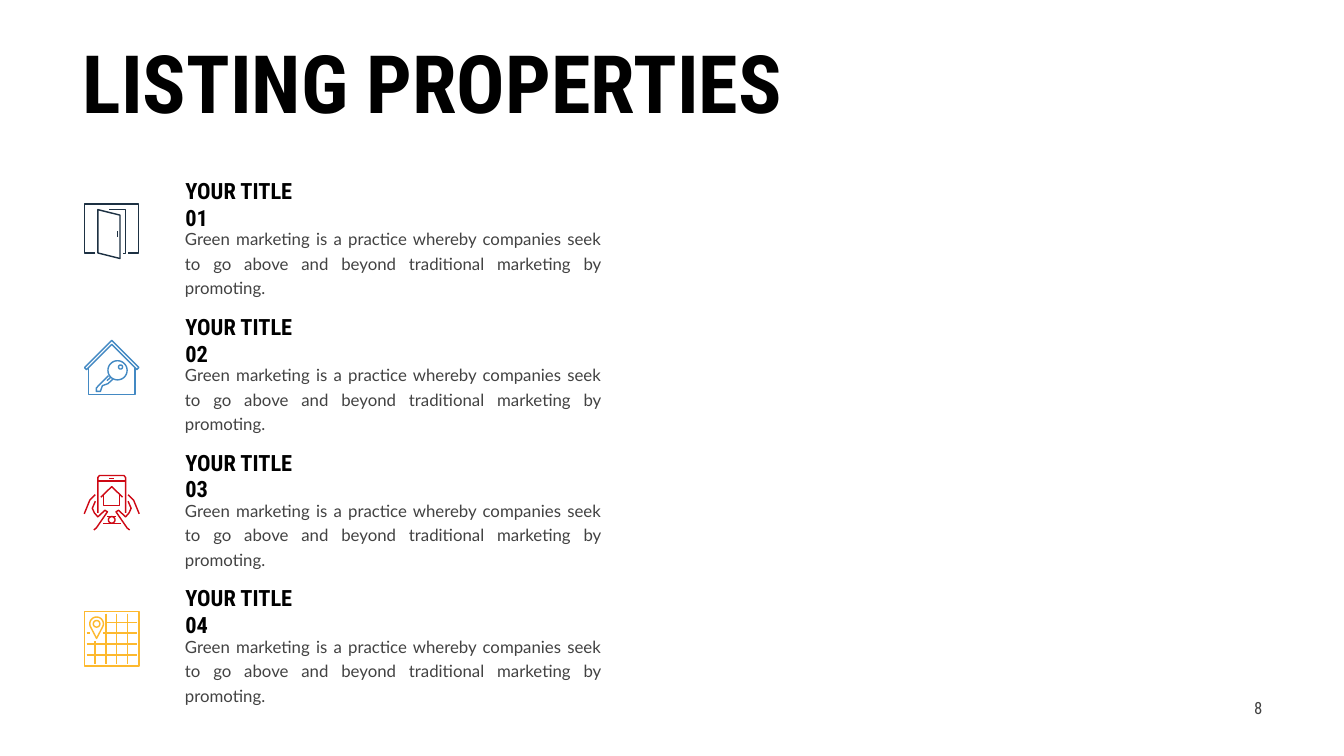
from dataclasses import dataclass
from math import cos, radians, sin

from pptx import Presentation
from pptx.dml.color import RGBColor
from pptx.enum.text import MSO_ANCHOR, MSO_AUTO_SIZE, PP_ALIGN
from pptx.util import Cm, Pt

LEFT, RIGHT, JUSTIFY = PP_ALIGN.LEFT, PP_ALIGN.RIGHT, PP_ALIGN.JUSTIFY
TOP, MIDDLE = MSO_ANCHOR.TOP, MSO_ANCHOR.MIDDLE
GROW, FIXED = MSO_AUTO_SIZE.SHAPE_TO_FIT_TEXT, MSO_AUTO_SIZE.NONE

Point = tuple[float, float]


@dataclass(frozen=True)
class Theme:
    heading_font: str = "Roboto Condensed"
    body_font: str = "Lato"
    ink: str = "000000"
    grey: str = "424242"
    navy: str = "1D3143"
    blue: str = "4389C3"
    red: str = "CE0814"
    yellow: str = "FDB92E"
    title_size: int = 115
    heading_size: int = 32
    body_size: int = 24
    leading: int = 35
    stroke: int = 2


@dataclass(frozen=True)
class Stroke:
    points: list[Point]
    closed: bool = False


@dataclass(frozen=True)
class Listing:
    heading: str
    color: str
    icon: list[Stroke]


THEME = Theme()
BODY = ("Green marketing is a practice whereby companies seek to go above "
        "and beyond traditional marketing by promoting.")
ROW_TOP, ROW_PITCH = 9.47, 6.84
ICON_UNIT = Cm(2.54) / 1000  # icons are drawn on a grid of hundredths of an inch


def arc(cx: float, cy: float, r: float, start: int = 0, end: int = 360) -> list[Point]:
    return [(cx + r * cos(radians(a)), cy + r * sin(radians(a)))
            for a in range(start, end + 1, 10)]


def circle(cx: float, cy: float, r: float) -> Stroke:
    return Stroke(arc(cx, cy, r)[:-1], closed=True)


def line(*points: Point) -> Stroke:
    return Stroke(list(points))


def outline(*points: Point) -> Stroke:
    return Stroke(list(points), closed=True)


def with_mirror(strokes: list[Stroke], width: float = 111) -> list[Stroke]:
    """Add the left-right reflection of each stroke."""
    return strokes + [Stroke([(width - x, y) for x, y in s.points], s.closed)
                      for s in strokes]


def open_door() -> list[Stroke]:
    return [
        line((23, 98), (1, 98), (1, 1), (109, 1), (109, 98), (88, 98)),
        outline((28, 12), (72, 23), (72, 109), (28, 98)),
        line((51, 12), (83, 12), (83, 99), (77, 99)),
        line((67, 55), (67, 67)),
    ]


def house_key() -> list[Stroke]:
    return [
        outline((55.5, 2), (109.5, 56), (105.5, 60), (55.5, 10), (5.5, 60), (1.5, 56)),
        line((9, 57), (9, 110), (102, 110), (102, 57)),
        circle(67, 61.5, 19),
        circle(73, 55, 4),
        line((49, 72), (25, 96.5), (25, 103.5), (33, 103.5), (37, 92), (48, 88), (58, 79)),
        line((46, 82), (54, 75)),
    ]


def phone_in_hands() -> list[Stroke]:
    hand = [
        line((88, 52), (94, 66), (90, 75), (83, 83), (69, 70), (64, 73),
             (86, 105), (91, 109)),
        line((88, 39), (99, 50), (110, 77)),
    ]
    return with_mirror(hand) + [
        line((28, 75), (28, 5), (31, 1), (80, 1), (83, 5), (83, 75)),
        line((28, 12), (83, 12)),
        line((50, 7), (61, 7)),
        line((34, 44), (55.5, 23), (77, 44)),
        line((39, 40), (39, 60), (71, 60), (71, 40)),
        circle(55.5, 89, 6.5),
        line((47, 82.5), (65, 82.5)),
        line((38, 96.5), (74, 96.5)),
    ]


def map_pin() -> list[Stroke]:
    rows = [(45, 23), (38, 44.5), (6, 66), (6, 88)]
    columns = [(22.5, 61), (44, 6), (65.5, 6), (87, 6)]
    return [
        outline((1, 1), (109.5, 1), (109.5, 109.5), (1, 109.5)),
        line((6, 44.5), (13, 44.5)),
        *[line((x, y), (105, y)) for x, y in rows],
        *[line((x, y), (x, 105)) for x, y in columns],
        Stroke(arc(25.5, 26, 13.5, 160, 380) + [(25.5, 55)], closed=True),
        circle(25.5, 26, 6.5),
    ]


def draw_icon(s, strokes: list[Stroke], left: float, top: float, color: str) -> None:
    fb = None
    for stroke in strokes:
        points = [(x * 10, y * 10) for x, y in stroke.points]
        if fb is None:
            fb = s.shapes.build_freeform(*points[0], scale=ICON_UNIT)
        else:
            fb.move_to(*points[0])
        fb.add_line_segments(points[1:], close=stroke.closed)
    sp = fb.convert_to_shape(Cm(left), Cm(top))
    sp.shadow.inherit = False
    sp.fill.background()
    sp.line.color.rgb = RGBColor.from_string(color)
    sp.line.width = Pt(THEME.stroke)


def place(sp, left: float, top: float, width: float, height: float) -> None:
    sp.left, sp.top, sp.width, sp.height = Cm(left), Cm(top), Cm(width), Cm(height)


def write(sp, text: str, *, size: int, color: str, font: str = THEME.heading_font,
          bold: bool = False, align=LEFT, anchor=TOP, wrap: bool = True,
          auto_size=GROW, leading: int | None = None) -> None:
    tf = sp.text_frame
    tf.word_wrap, tf.auto_size, tf.vertical_anchor = wrap, auto_size, anchor
    p = tf.paragraphs[0]
    p.alignment = align
    if leading:
        p.line_spacing = Pt(leading)
    r = p.add_run()
    r.text = text
    r.font.name, r.font.size, r.font.bold = font, Pt(size), bold
    r.font.color.rgb = RGBColor.from_string(color)


def add_text(s, box: tuple[float, float, float, float], text: str, **style):
    sp = s.shapes.add_textbox(0, 0, 0, 0)
    place(sp, *box)
    write(sp, text, **style)
    return sp


def draw_listing(s, listing: Listing, top: float) -> None:
    draw_icon(s, listing.icon, 4.22, top + 0.79, listing.color)
    heading = add_text(s, (9.09, top, 7.21, 1.63), listing.heading,
                       size=THEME.heading_size, color=THEME.ink, bold=True,
                       anchor=MIDDLE, auto_size=FIXED)
    heading.text_frame.margin_right = Cm(0.8)  # the number goes on its own line
    add_text(s, (9.07, top + 1.73, 21.46, 2.67), BODY, size=THEME.body_size,
             color=THEME.grey, font=THEME.body_font, align=JUSTIFY,
             leading=THEME.leading, auto_size=FIXED)


def main() -> None:
    prs = Presentation()
    prs.slide_width, prs.slide_height = Cm(67.72), Cm(38.1)
    s = prs.slides.add_slide(prs.slide_layouts[5])

    title = s.shapes.title
    place(title, 3.91, 1.55, 36.04, 5.18)
    write(title, "LISTING PROPERTIES", size=THEME.title_size, color=THEME.ink,
          bold=True, wrap=False)

    listings = [
        Listing("YOUR TITLE 01", THEME.navy, open_door()),
        Listing("YOUR TITLE 02", THEME.blue, house_key()),
        Listing("YOUR TITLE 03", THEME.red, phone_in_hands()),
        Listing("YOUR TITLE 04", THEME.yellow, map_pin()),
    ]
    for i, listing in enumerate(listings):
        draw_listing(s, listing, ROW_TOP + i * ROW_PITCH)

    add_text(s, (62.46, 35.05, 1.4, 1.27), "8", size=THEME.body_size,
             color=THEME.grey, align=RIGHT, anchor=MIDDLE, wrap=False)
    prs.save("out.pptx")


if __name__ == "__main__":
    main()
